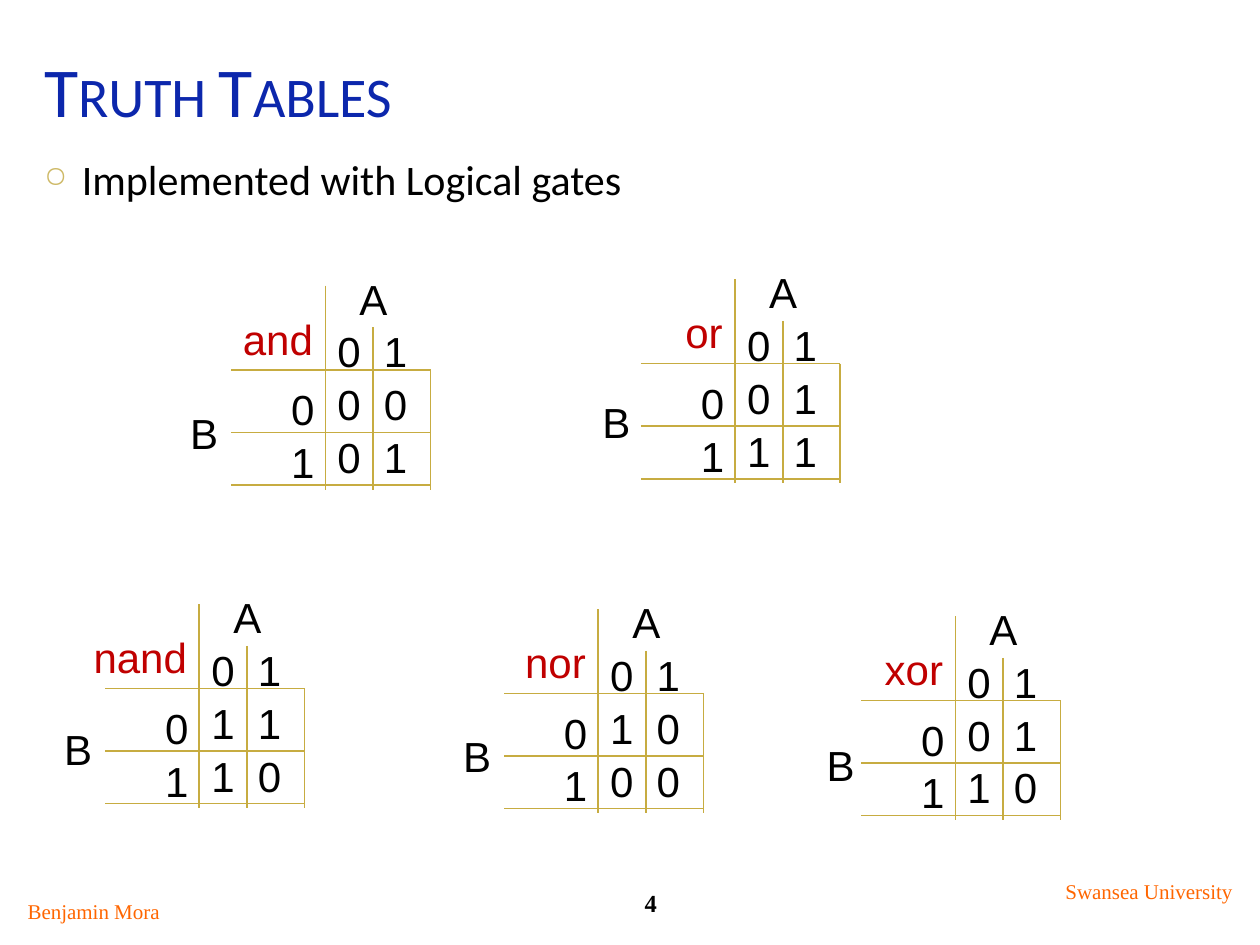
from lxml import etree
from pptx import Presentation
from pptx import util as u
from pptx.dml import color
from pptx.enum import shapes, text
from pptx.oxml import ns

COLORS = {"title": "0C27AC", "body": "000000", "bullet": "CEB966",
          "footer": "FF6600", "gate": "C00000", "grid": "C7AC41"}
TITLE = "Truth Tables"
BODY = "Implemented with Logical gates"
FOOTERS = [
    ("4", (11.43, 17.78, 3.38, 0.84), 14, "body", True),
    ("Benjamin Mora", (0.2, 17.98, 3.38, 0.76), 12, "footer", False),
    ("Swansea University", (21.16, 17.58, 4.01, 0.76), 12, "footer", False),
]
# name, corner of the value grid, offset of the B label, value rows
GATES = [
    ("and", (6.56, 7.46), (-3.38, 0.58), ["00", "01"]),
    ("or", (14.82, 7.33), (-3.33, 0.48), ["01", "11"]),
    ("nand", (4.02, 13.88), (-3.38, 0.53), ["11", "10"]),
    ("nor", (12.06, 13.98), (-3.38, 0.58), ["10", "00"]),
    ("xor", (19.26, 14.12), (-3.25, 0.61), ["01", "10"]),
]
GRID_LEFT, GRID_RIGHT, GRID_BOTTOM = -1.9, 2.12, 2.41
VERTICALS = [(0, -1.7), (0.96, -0.86), (GRID_RIGHT, 0)]
HORIZONTALS = [0, 1.26, 2.32]
PAIR_INSET, DIGIT_GAP = 0.44, 0.94
LEFT, CENTER, RIGHT = (text.PP_ALIGN.LEFT, text.PP_ALIGN.CENTER,
                       text.PP_ALIGN.RIGHT)


def add_text(slide, lines, box, size, font, color_name, align=LEFT, bold=False):
    shape = slide.shapes.add_textbox(*(u.Cm(value) for value in box))
    frame = shape.text_frame
    frame.word_wrap = True
    frame.text = "\n".join(lines)
    for paragraph in frame.paragraphs:
        paragraph.alignment = align
        for run in paragraph.runs:
            run.font.size = u.Pt(size)
            run.font.name = font
            run.font.bold = bold
            run.font.color.rgb = color.RGBColor.from_string(COLORS[color_name])
    return frame


def add_label(slide, lines, box, color_name="body", align=RIGHT):
    frame = add_text(slide, lines, box, 24, "Arial", color_name, align)
    for paragraph in frame.paragraphs:
        paragraph.line_spacing = 1.05
    return frame


def add_pairs(slide, lines, box):
    frame = add_label(slide, lines, box, align=LEFT)
    frame.margin_left = frame.margin_right = u.Cm(PAIR_INSET)
    for paragraph in frame.paragraphs:
        if "\t" in paragraph.text:
            properties = paragraph._p.get_or_add_pPr()
            tabs = etree.SubElement(properties, ns.qn("a:tabLst"))
            etree.SubElement(tabs, ns.qn("a:tab"),
                             pos=str(u.Cm(DIGIT_GAP)), algn="l")
        else:
            paragraph.alignment = CENTER


def add_line(slide, *ends):
    line = slide.shapes.add_connector(shapes.MSO_CONNECTOR.STRAIGHT,
                                      *(u.Cm(value) for value in ends))
    line.line.color.rgb = color.RGBColor.from_string(COLORS["grid"])
    line.line.width = u.Pt(1)
    etree.SubElement(line._element.spPr, ns.qn("a:effectLst"))


def add_gate(slide, name, corner, label_offset, rows):
    x, y = corner
    add_pairs(slide, ["A", "0\t1"], (x - 0.2, y - 2.13, 2.34, 2.31))
    add_pairs(slide, ["\t".join(row) for row in rows], (x - 0.2, y, 2.34, 2.31))
    add_label(slide, ["0", "1"], (x - 2.31, y + 0.1, 2.34, 2.31))
    add_label(slide, [name], (x - 2.74, y - 1.32, 2.74, 1.3), "gate")
    add_label(slide, ["B"], (x + label_offset[0], y + label_offset[1], 1.47, 1.3))
    for offset, top in VERTICALS:
        add_line(slide, x + offset, y + top, x + offset, y + GRID_BOTTOM)
    for offset in HORIZONTALS:
        add_line(slide, x + GRID_LEFT, y + offset, x + GRID_RIGHT, y + offset)


def add_bullet(paragraph):
    properties = paragraph._p.get_or_add_pPr()
    properties.set("marL", str(u.Cm(0.76)))
    properties.set("indent", str(u.Cm(-0.76)))
    bullet_color = etree.SubElement(properties, ns.qn("a:buClr"))
    etree.SubElement(bullet_color, ns.qn("a:srgbClr"), val=COLORS["bullet"])
    etree.SubElement(properties, ns.qn("a:buSzPct"), val="70000")
    etree.SubElement(properties, ns.qn("a:buChar"), char="○")


def main():
    presentation = Presentation()
    presentation.slide_width, presentation.slide_height = u.Cm(25.4), u.Cm(19.05)
    slide = presentation.slides.add_slide(presentation.slide_layouts[6])

    title = add_text(slide, [TITLE], (0.64, 0.43, 24.13, 2.34), 40, "Calibri", "title")
    title.vertical_anchor = text.MSO_ANCHOR.BOTTOM
    title.paragraphs[0].runs[0]._r.get_or_add_rPr().set("cap", "small")

    body = add_text(slide, [BODY], (0.64, 2.97, 24.13, 1.7), 24, "Calibri", "body")
    add_bullet(body.paragraphs[0])

    for words, box, size, color_name, bold in FOOTERS:
        add_text(slide, [words], box, size, "Times New Roman", color_name, CENTER, bold)
    for gate in GATES:
        add_gate(slide, *gate)
    presentation.save("out.pptx")


if __name__ == "__main__":
    main()
